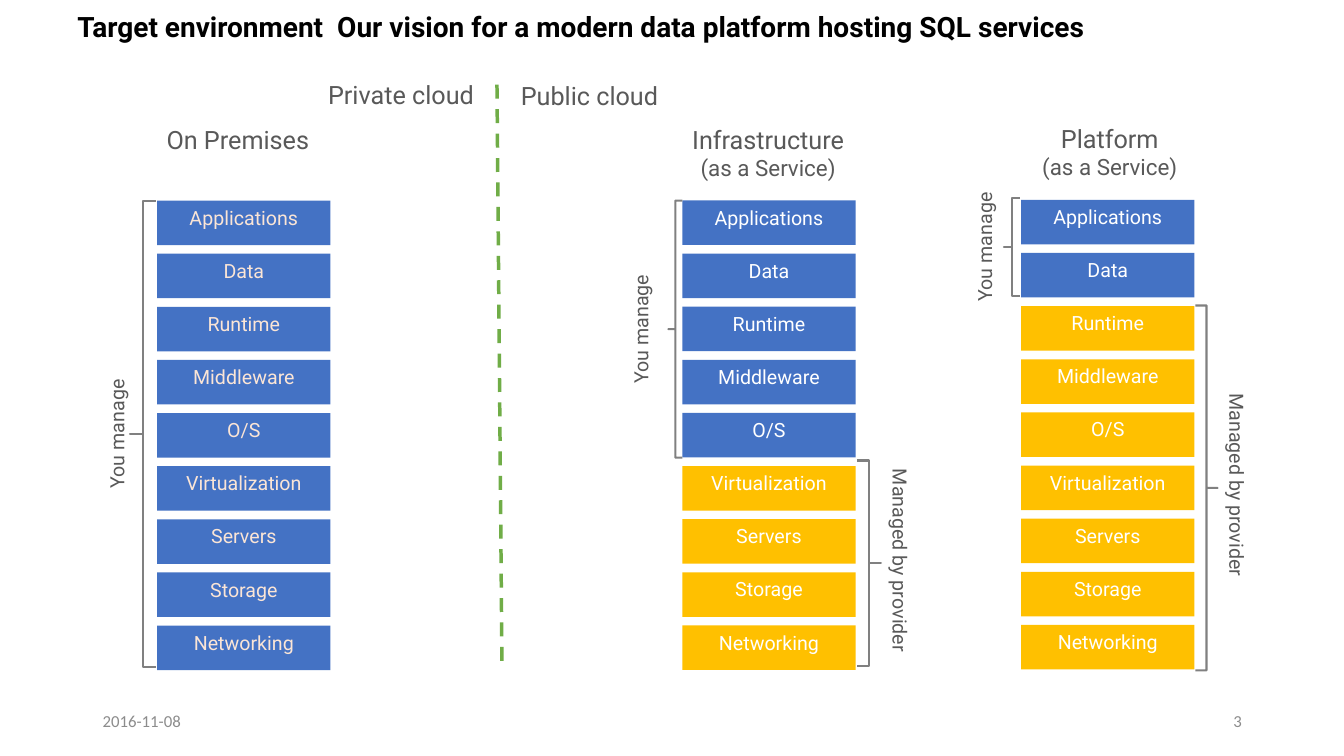
from pptx import Presentation
from pptx.dml.color import RGBColor
from pptx.enum.dml import MSO_LINE_DASH_STYLE as Dash
from pptx.enum.shapes import MSO_CONNECTOR as Connector, MSO_SHAPE as Shape
from pptx.enum.text import MSO_ANCHOR as Anchor, MSO_AUTO_SIZE as AutoSize, PP_ALIGN as Align
from pptx.oxml.ns import qn
from pptx.util import Pt

COLORS = {
    "title": "000000", "label": "595959", "footer": "8C8C8C", "brace": "808080",
    "yours": "4472C4", "provider": "FFC000", "divider": "70AD47",
    "white": "FFFFFF", "peach": "FBE5D6",
}
TITLE = "Target environment  Our vision for a modern data platform hosting SQL services"
LAYERS = ["Applications", "Data", "Runtime", "Middleware", "O/S",
          "Virtualization", "Servers", "Storage", "Networking"]
YOU, PROVIDER = "You manage", "Managed by provider"

# heading: lines, left, top, width; brace: label, left, top, width, height, label left
MODELS = [
    {"heading": (["On Premises"], 99.4, 88.6, 141), "left": 112.3, "top": 143.3,
     "yours": 9, "text": "peach",
     "braces": [(YOU, 92.9, 143.3, 18.7, 333.4, 71.3)]},
    {"heading": (["Infrastructure", "(as a Service)"], 450.7, 88.6, 196),
     "left": 487.4, "top": 143.2, "yours": 5, "text": "white",
     "braces": [(YOU, 477.4, 143.3, 10, 183.6, 445.7),
                (PROVIDER, 612, 329, 17.3, 146.9, 623.5)]},
    {"heading": (["Platform", "(as a Service)"], 717.1, 87.8, 151.2),
     "left": 729.4, "top": 142.8, "yours": 2, "text": "white",
     "braces": [(YOU, 717.1, 141.1, 11.5, 70.6, 691.2),
                (PROVIDER, 853.9, 218.2, 15.8, 260.6, 864)]},
]
CLOUDS = [("Private cloud", 216, 56.9), ("Public cloud", 350.6, 57.6)]
FOOTERS = [("2016-11-08", 66.2, Align.LEFT), ("3", 678.2, Align.RIGHT)]
BOX_W, BOX_H, PITCH = 123.8, 31.8, 37.95
LABEL_W = 31.7
LABEL_H = {YOU: 84.2, PROVIDER: 149}
LABEL_TURN = {YOU: "vert270", PROVIDER: "eaVert"}


def write(shape, lines, sizes=(14,), color="label", font="Roboto", bold=False,
          align=Align.CENTER, anchor=Anchor.TOP, insets=(0, 0), wrap=True, spacing=None):
    """Fill a shape with one paragraph per line; insets are (sides, top and bottom)."""
    frame = shape.text_frame
    frame.auto_size, frame.word_wrap, frame.vertical_anchor = AutoSize.NONE, wrap, anchor
    frame.margin_left = frame.margin_right = Pt(insets[0])
    frame.margin_top = frame.margin_bottom = Pt(insets[1])
    frame.text = "\n".join(lines)
    for paragraph, size in zip(frame.paragraphs, sizes):
        paragraph.alignment = align
        if spacing:
            paragraph.line_spacing = spacing
        style = paragraph.runs[0].font
        style.name, style.size, style.bold = font, Pt(size), bold
        style.color.rgb = RGBColor.from_string(COLORS[color])


def points(*lengths):
    """Turn numbers into point lengths."""
    return [Pt(length) for length in lengths]


def add_layers(shapes, model):
    """Stack the service layers, coloured by who manages them."""
    for row, layer in enumerate(LAYERS):
        box = shapes.add_shape(Shape.RECTANGLE, *points(
            model["left"], model["top"] + row * PITCH, BOX_W, BOX_H))
        box.shadow.inherit = False
        box.fill.solid()
        owner = "yours" if row < model["yours"] else "provider"
        box.fill.fore_color.rgb = RGBColor.from_string(COLORS[owner])
        box.line.fill.background()
        write(box, [layer], color=model["text"], insets=(0, 3.6))


def add_brace(shapes, label, left, top, width, height, label_left):
    """Draw a square brace with its turned label centred on it."""
    kind = Shape.LEFT_BRACE if label == YOU else Shape.RIGHT_BRACE
    brace = shapes.add_shape(kind, *points(left, top, width, height))
    brace.adjustments[0], brace.adjustments[1] = 0, 0.5
    brace.shadow.inherit = False
    brace.fill.background()
    brace.line.color.rgb = RGBColor.from_string(COLORS["brace"])
    brace.line.width = Pt(1.5)
    length = LABEL_H[label]
    caption = shapes.add_textbox(*points(
        label_left, top + (height - length) / 2, LABEL_W, length))
    write(caption, [label], insets=(7.2, 3.6), wrap=False)
    caption.text_frame._txBody.bodyPr.set("vert", LABEL_TURN[label])


def add_divider(shapes):
    """Draw the dashed line between private and public cloud."""
    divider = shapes.add_connector(Connector.STRAIGHT, *points(355, 60.5, 358.6, 478.8))
    divider.line.color.rgb = RGBColor.from_string(COLORS["divider"])
    divider.line.width = Pt(2.5)
    divider.line.dash_style = Dash.DASH
    properties = divider._element.spPr
    properties.append(properties.makeelement(qn("a:effectLst"), {}))


deck = Presentation()
deck.slide_width, deck.slide_height = points(960, 540)
slide = deck.slides.add_slide(deck.slide_layouts[5])

title = slide.shapes.title
title.left, title.top, title.width, title.height = points(48, 5.8, 864, 30.2)
write(title, [TITLE], sizes=(20,), color="title", bold=True, align=Align.LEFT,
      insets=(7.2, 3.6), spacing=0.9)

for text, left, align in FOOTERS:
    footer = slide.shapes.add_textbox(*points(left, 500.4, 216, 28.8))
    write(footer, [text], sizes=(12,), color="footer", font="Calibri", align=align,
          anchor=Anchor.MIDDLE, insets=(7.2, 3.6))

for model in MODELS:
    column = slide.shapes.add_group_shape().shapes
    lines, left, top, width = model["heading"]
    write(column.add_textbox(*points(left, top, width, 53.3)), lines, sizes=(18, 16))
    add_layers(column, model)
    for brace in model["braces"]:
        add_brace(column, *brace)

add_divider(slide.shapes)
for text, left, top in CLOUDS:
    write(slide.shapes.add_textbox(*points(left, top, 141, 53.3)), [text], sizes=(18,))

deck.save("out.pptx")
